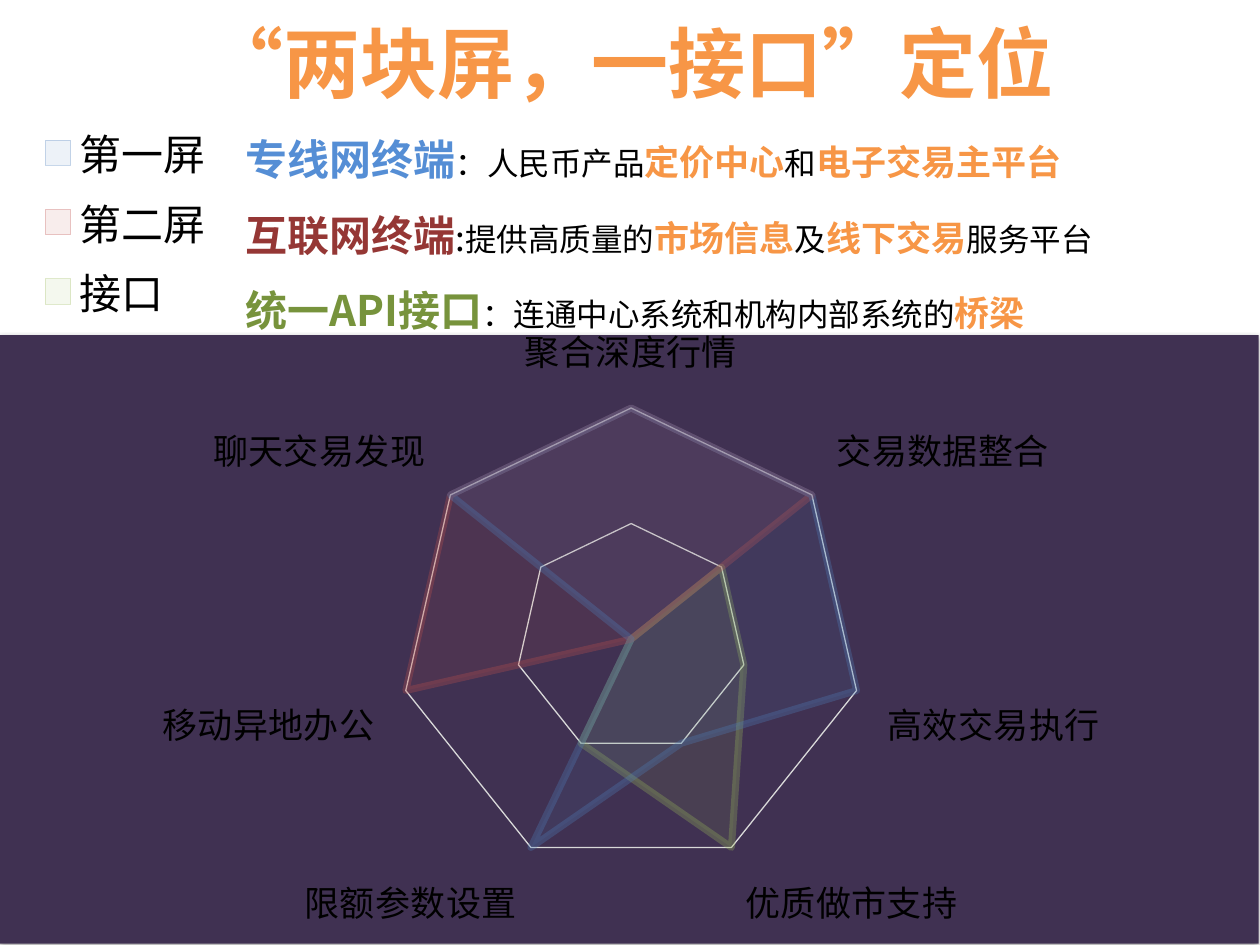
from dataclasses import dataclass

from lxml import etree
from pptx import Presentation
from pptx.chart.data import CategoryChartData
from pptx.dml.color import RGBColor
from pptx.enum.chart import XL_CHART_TYPE, XL_LEGEND_POSITION, XL_TICK_MARK
from pptx.enum.shapes import MSO_SHAPE
from pptx.enum.text import MSO_ANCHOR, MSO_AUTO_SIZE, PP_ALIGN
from pptx.oxml import parse_xml
from pptx.oxml.ns import nsdecls, qn
from pptx.util import Inches, Pt

RADAR = XL_CHART_TYPE.RADAR_FILLED
TOP = XL_LEGEND_POSITION.TOP
NO_TICK = XL_TICK_MARK.NONE
RECT = MSO_SHAPE.RECTANGLE
MIDDLE = MSO_ANCHOR.MIDDLE
GROW = MSO_AUTO_SIZE.SHAPE_TO_FIT_TEXT
CENTER, JUSTIFY = PP_ALIGN.CENTER, PP_ALIGN.JUSTIFY


@dataclass(frozen=True)
class Theme:
    face: str = "Noto Sans CJK SC"
    ink: str = "000000"
    key: str = "F79646"
    panel: str = "403152"
    grid: str = "D9D9D9"
    axis: str = "BFBFBF"
    title: int = 44
    head: int = 24
    mark: int = 20
    text: int = 18


T = Theme()
CATS = ["聚合深度行情", "交易数据整合", "高效交易执行", "优质做市支持",
        "限额参数设置", "移动异地办公", "聊天交易发现"]
SERIES = [
    ("第一屏", "4F81BD", [100, 100, 100, 50, 100, 0, 100]),
    ("第二屏", "C0504D", [100, 100, 0, 0, 0, 100, 100]),
    ("接口", "9BBB59", [0, 50, 50, 100, 50, 0, 0]),
]


def head(text, color):
    return text, dict(size=T.head, color=color, bold=True)


def mark(text):
    return text, dict(size=T.mark, color=T.key, bold=True)


def plain(text, size=T.text):
    return text, dict(size=size)


LINES = [
    [head("专线网终端", "558ED5"), plain("：人民币产品"), mark("定价中心"),
     plain("和"), mark("电子交易主平台")],
    [head("互联网终端", "953735"), plain(":", T.mark), plain("提供高质量的"),
     mark("市场信息"), plain("及"), mark("线下交易"), plain("服务平台")],
    [head("统一API接口", "77933C"), plain("：连通中心系统和机构内部系统的"),
     mark("桥梁")],
]


def style(font, size, color=T.ink, bold=False):
    """Set a font for Latin and East Asian letters alike."""
    font.size, font.bold = Pt(size), bold
    font.color.rgb = RGBColor.from_string(color)
    font.name = T.face
    east = etree.Element(qn("a:ea"), typeface=T.face)
    font._element.find(qn("a:latin")).addnext(east)


def write(par, text, **form):
    run = par.add_run()
    run.text = text
    rpr = run._r.get_or_add_rPr()
    run.font._element = rpr
    font = run.font
    font._element = rpr
    style(font, **form)


def place(shape, left, top, width, height):
    shape.left, shape.top = Inches(left), Inches(top)
    shape.width, shape.height = Inches(width), Inches(height)


def stroke(line, color, width):
    line.color.rgb = RGBColor.from_string(color)
    line.width = Pt(width)


def layout(x, y, w, h, inner=False):
    """Return a manual chart layout in shares of the chart size."""
    target = '<c:layoutTarget val="inner"/>' if inner else ""
    return parse_xml(
        f'<c:layout {nsdecls("c")}><c:manualLayout>{target}'
        '<c:xMode val="edge"/><c:yMode val="edge"/>'
        f'<c:x val="{x}"/><c:y val="{y}"/><c:w val="{w}"/><c:h val="{h}"/>'
        '</c:manualLayout></c:layout>')


def clear(node):
    old = node.find(qn("c:layout"))
    if old is not None:
        node.remove(old)


def add_panel(slide):
    panel = slide.shapes.add_shape(
        RECT, 0, Inches(2.66), Inches(9.99), Inches(4.83))
    panel.fill.solid()
    panel.fill.fore_color.rgb = RGBColor.from_string(T.panel)
    panel.line.fill.background()
    panel.shadow.inherit = False
    panel._element.spPr.find(qn("a:effectLst")).append(parse_xml(
        f'<a:outerShdw {nsdecls("a")} blurRad="{Pt(3.1)}" dist="{Pt(1.8)}" '
        'dir="5400000" rotWithShape="0"><a:srgbClr val="000000">'
        '<a:alpha val="35000"/></a:srgbClr></a:outerShdw>'))


def tint(series, color):
    form = series.format
    form.fill.solid()
    form.fill.fore_color.rgb = RGBColor.from_string(color)
    stroke(form.line, color, 4)
    for node, share in zip(series._element.iter(qn("a:srgbClr")), (10, 30)):
        etree.SubElement(node, qn("a:alpha"), val=str(share * 1000))


def add_legend(chart):
    chart.has_legend = True
    legend = chart.legend
    legend.position = TOP
    legend.include_in_layout = False
    style_chart(legend.font, T.head)
    clear(legend._element)
    pos = legend._element.find(qn("c:legendPos"))
    pos.addnext(layout(0.01, 0.12, 0.16, 0.23))


def style_chart(font, size):
    font._element = font._rPr
    style(font, size)


def add_radar(slide):
    data = CategoryChartData()
    data.categories = CATS
    for name, _, vals in SERIES:
        data.add_series(name, vals)
    chart = slide.shapes.add_chart(
        RADAR, Inches(0.12), 0, Inches(9.76), Inches(7.5), data).chart
    chart.has_title = False
    style_chart(chart.font, T.mark)
    add_legend(chart)

    cat, val = chart.category_axis, chart.value_axis
    cat.has_major_gridlines = False
    cat.major_tick_mark = cat.minor_tick_mark = NO_TICK
    style_chart(cat.tick_labels.font, T.mark)
    stroke(cat.format.line, T.axis, 0.75)
    val.visible = False
    val.minimum_scale, val.maximum_scale, val.major_unit = 0, 100, 50
    val.has_major_gridlines = True
    stroke(val.major_gridlines.format.line, T.grid, 0.75)

    for series, (_, color, _) in zip(chart.plots[0].series, SERIES):
        tint(series, color)
    area = chart._chartSpace.chart.plotArea
    clear(area)
    area.insert(0, layout(0.313, 0.425, 0.376, 0.503, inner=True))


def fill_body(body):
    place(body, 1.85, 0.81, 8.15, 1.92)
    frame = body.text_frame
    frame.word_wrap, frame.auto_size = True, GROW
    for i, line in enumerate(LINES):
        par = frame.add_paragraph() if i else frame.paragraphs[0]
        par.alignment, par.line_spacing, par.space_before = JUSTIFY, 1.5, 0
        ppr = par._p.get_or_add_pPr()
        ppr.set("marL", "0")
        ppr.set("indent", "0")
        etree.SubElement(ppr, qn("a:buNone"))
        for text, form in line:
            write(par, text, **form)


def fill_title(title):
    place(title, 0, 0.07, 10, 0.84)
    frame = title.text_frame
    frame.word_wrap, frame.auto_size = True, GROW
    frame.vertical_anchor = MIDDLE
    par = frame.paragraphs[0]
    par.alignment = CENTER
    write(par, "“两块屏，一接口”定位", size=T.title, color=T.key, bold=True)


def main():
    deck = Presentation()
    deck.slide_width, deck.slide_height = Inches(10), Inches(7.5)
    slide = deck.slides.add_slide(deck.slide_layouts[1])
    title, body = slide.placeholders
    add_panel(slide)
    add_radar(slide)
    fill_body(body)
    fill_title(title)
    for shape in (body, title):
        slide.shapes._spTree.append(shape._element)
    deck.save("out.pptx")


if __name__ == "__main__":
    main()
